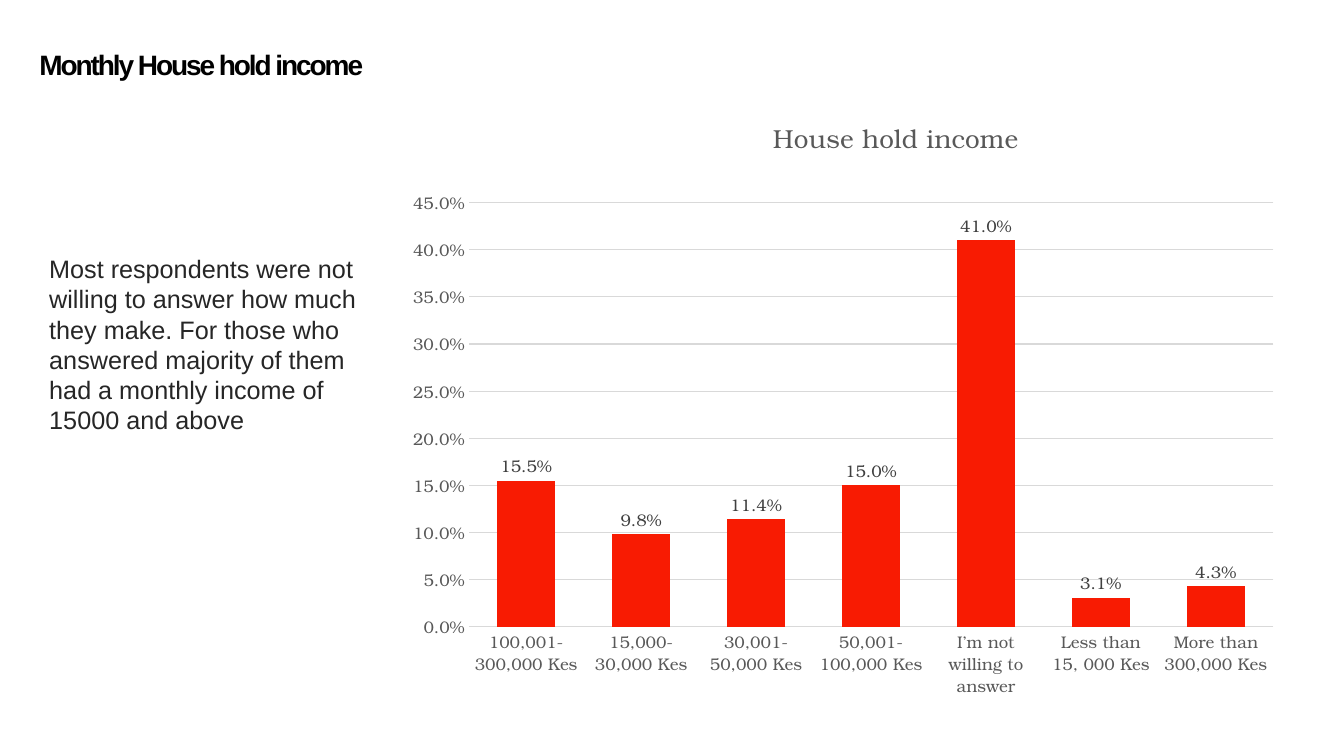
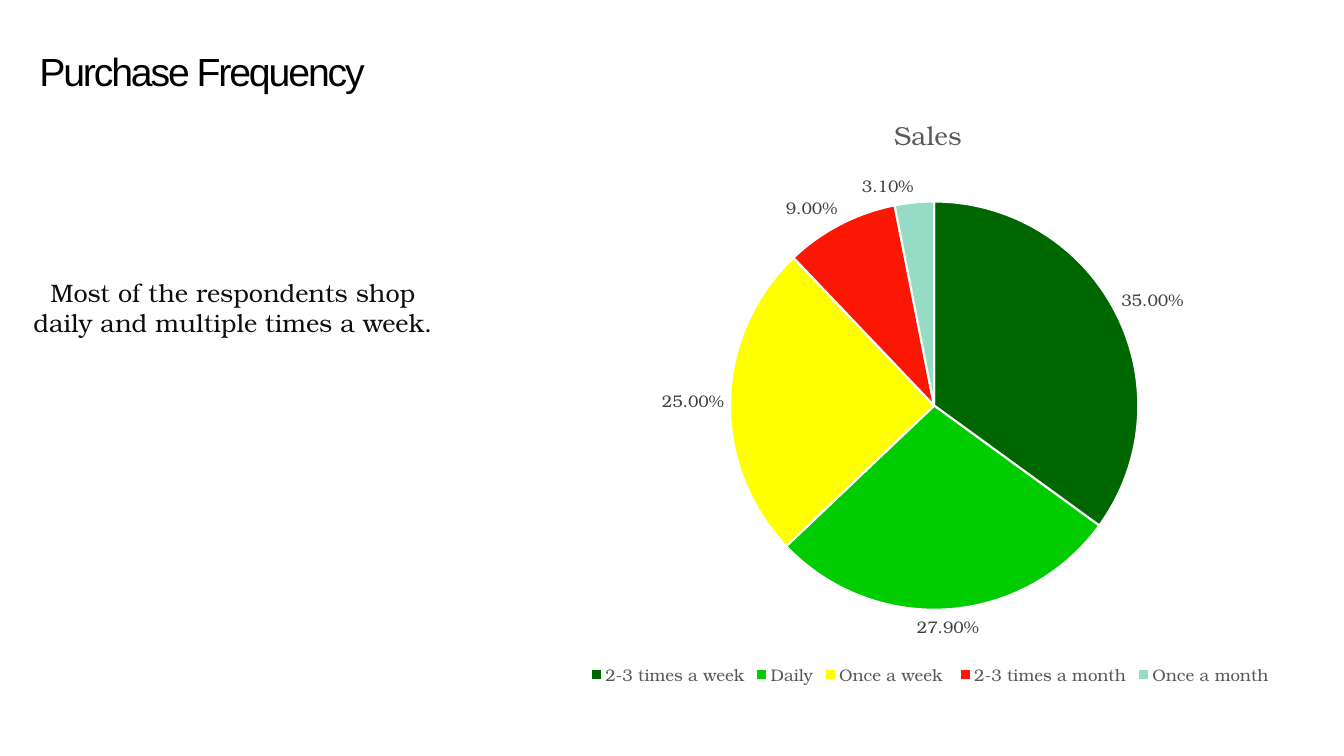
from lxml import etree
from pptx import Presentation
from pptx.chart.data import CategoryChartData
from pptx.dml.color import RGBColor
from pptx.enum import chart as kinds, shapes, text
from pptx.oxml import ns
from pptx.util import Inches, Pt

COLORS = {
    "black": "000000", "white": "FFFFFF", "body": "262626", "note": "0D0D0D",
    "label": "404040", "muted": "595959", "grid": "D9D9D9",
    "Series 1": "F81B02", "Series 2": "FC7715", "Series 3": "AFBF41",
}
SANS, SERIF = "Arial", "TeX Gyre Bonum"
TITLE_BOX = (0.39, 0.47, 12.54, 0.44)
CHART_SIZE = (8.89, 5.93)

SLIDES = [
    {
        "title": "Monthly House hold income", "title_size": 20, "bold": True,
        "note": "Most respondents were not willing to answer how much they make. "
                "For those who answered majority of them had a monthly income of 15000 and above",
        "note_box": (0.39, 1.1, 3.3, 4.63), "note_font": SANS, "note_color": "body",
        "align": text.PP_ALIGN.LEFT,
        "kind": kinds.XL_CHART_TYPE.COLUMN_CLUSTERED, "chart_at": (3.91, 1.1),
        "chart_title": "House hold income", "title_at": (7.62, 1.11),
        "plot_box": (4.65, 2.01, 7.98, 4.21), "format": "0.0%",
        "series": ["Series 1", "Series 2", "Series 3"],
        "data": [
            ("100,001- 300,000 Kes", 0.155), ("15,000- 30,000 Kes", 0.098),
            ("30,001- 50,000 Kes", 0.114), ("50,001- 100,000 Kes", 0.15),
            ("I’m not willing to answer", 0.41), ("Less than 15, 000 Kes", 0.031),
            ("More than 300,000 Kes", 0.043),
        ],
    },
    {
        "title": "Purchase Frequency", "title_size": 28, "bold": False,
        "note": "Most of the respondents shop daily and multiple times a week.",
        "note_box": (0.18, 1.16, 4.26, 3.78), "note_font": SERIF, "note_color": "note",
        "align": text.PP_ALIGN.CENTER,
        "kind": kinds.XL_CHART_TYPE.PIE, "chart_at": (4.76, 0.91),
        "chart_title": "Sales", "title_at": None,
        "plot_box": (7.24, 2.0, 4.05, 4.05), "format": "0.00%",
        "legend_box": (5.8, 6.54, 6.85, 0.3),
        "series": ["Sales"],
        "data": [
            ("2-3 times a week", 0.35), ("Daily", 0.279), ("Once a week ", 0.25),
            ("2-3 times a month", 0.09), ("Once a month", 0.031),
        ],
        "slices": ["006600", "00CC00", "FFFF00", "FC1604", "96DCC5"],
    },
]


def rgb(name):
    return RGBColor.from_string(COLORS.get(name, name))


def style_font(font, size, color, name=SERIF, bold=False):
    font.size, font.name, font.bold = Pt(size), name, bold
    font.color.rgb = rgb(color)


def add_title(slide, content):
    box = slide.shapes.add_textbox(*map(Inches, TITLE_BOX))
    frame = box.text_frame
    frame.word_wrap = True
    frame.margin_left = frame.margin_right = frame.margin_top = frame.margin_bottom = 0
    frame.text = content["title"]
    paragraph = frame.paragraphs[0]
    paragraph.space_before = Pt(6)
    run = paragraph.runs[0]
    style_font(run.font, content["title_size"], "black", SANS, content["bold"])
    run.font._element.set("spc", "-150")


def add_note(slide, content):
    shape = slide.shapes.add_shape(shapes.MSO_SHAPE.RECTANGLE, *map(Inches, content["note_box"]))
    shape.shadow.inherit = False
    shape.fill.solid()
    shape.fill.fore_color.rgb = rgb("white")
    shape.line.fill.background()
    frame = shape.text_frame
    frame.word_wrap, frame.vertical_anchor = True, text.MSO_ANCHOR.MIDDLE
    frame.text = content["note"]
    paragraph = frame.paragraphs[0]
    paragraph.alignment = content["align"]
    style_font(paragraph.runs[0].font, 18, content["note_color"], content["note_font"])


def set_layout(chart, tag, index, chart_at, box):
    parent = chart.element.find(".//" + ns.qn(tag))
    for old in parent.findall(ns.qn("c:layout")):
        parent.remove(old)
    layout = etree.Element(ns.qn("c:layout"))
    manual = etree.SubElement(layout, ns.qn("c:manualLayout"))
    values = [("layoutTarget", "inner")] if tag == "c:plotArea" else []
    values += [("xMode", "edge"), ("yMode", "edge")]
    starts = [(box[i] - chart_at[i]) / CHART_SIZE[i] for i in range(2)]
    sizes = [length / whole for length, whole in zip(box[2:], CHART_SIZE)]
    values += [(key, f"{value:.4f}") for key, value in zip("xywh", starts + sizes)]
    for key, value in values:
        etree.SubElement(manual, ns.qn(f"c:{key}")).set("val", value)
    parent.insert(index, layout)


def style_columns(chart):
    plot = chart.plots[0]
    plot.gap_width, plot.overlap = 100, 100
    for series in plot.series:
        series.format.fill.solid()
        series.format.fill.fore_color.rgb = rgb(series.name)
    for axis in (chart.category_axis, chart.value_axis):
        axis.major_tick_mark = axis.minor_tick_mark = kinds.XL_TICK_MARK.NONE
        style_font(axis.tick_labels.font, 12, "muted")
    values = chart.value_axis
    values.minimum_scale, values.maximum_scale, values.major_unit = 0, 0.45, 0.05
    values.tick_labels.number_format = "0.0%"
    values.tick_labels.number_format_is_linked = False
    values.format.line.fill.background()
    for line in (chart.category_axis.format.line, values.major_gridlines.format.line):
        line.color.rgb, line.width = rgb("grid"), Pt(0.75)


def style_pie(chart, content):
    for index, color in enumerate(content["slices"]):
        part = chart.plots[0].series[0].points[index].format
        part.fill.solid()
        part.fill.fore_color.rgb = rgb(color)
        part.line.color.rgb, part.line.width = rgb("white"), Pt(1.5)
    chart.has_legend = True
    chart.legend.position = kinds.XL_LEGEND_POSITION.BOTTOM
    chart.legend.include_in_layout = False
    style_font(chart.legend.font, 12, "muted")
    set_layout(chart, "c:legend", 1, content["chart_at"], content["legend_box"])


def add_chart(slide, content):
    chart_at = content["chart_at"]
    data = CategoryChartData(number_format=content["format"])
    names, values = zip(*content["data"])
    data.categories = names
    for index, name in enumerate(content["series"]):
        data.add_series(name, [None] * len(values) if index else values)
    frame = slide.shapes.add_chart(content["kind"], *map(Inches, chart_at + CHART_SIZE), data)
    chart = frame.chart
    style_font(chart.font, 10, "black")
    chart.has_legend = False
    chart.has_title = True
    title = chart.chart_title.text_frame
    title.text = content["chart_title"]
    style_font(title.paragraphs[0].runs[0].font, 18.6, "muted")
    plot = chart.plots[0]
    plot.vary_by_categories = "slices" in content
    plot.has_data_labels = True
    labels = plot.data_labels
    labels.show_value, labels.show_percentage = True, False
    labels.number_format, labels.number_format_is_linked = content["format"], False
    labels.position = kinds.XL_LABEL_POSITION.OUTSIDE_END
    style_font(labels.font, 12, "label")
    if "slices" in content:
        style_pie(chart, content)
    else:
        style_columns(chart)
    set_layout(chart, "c:plotArea", 0, chart_at, content["plot_box"])
    if content["title_at"]:
        set_layout(chart, "c:title", 1, chart_at, content["title_at"])


def main():
    presentation = Presentation()
    presentation.slide_width, presentation.slide_height = Inches(13.33), Inches(7.5)
    for content in SLIDES:
        slide = presentation.slides.add_slide(presentation.slide_layouts[6])
        add_title(slide, content)
        add_chart(slide, content)
        add_note(slide, content)
    presentation.save("out.pptx")


if __name__ == "__main__":
    main()
